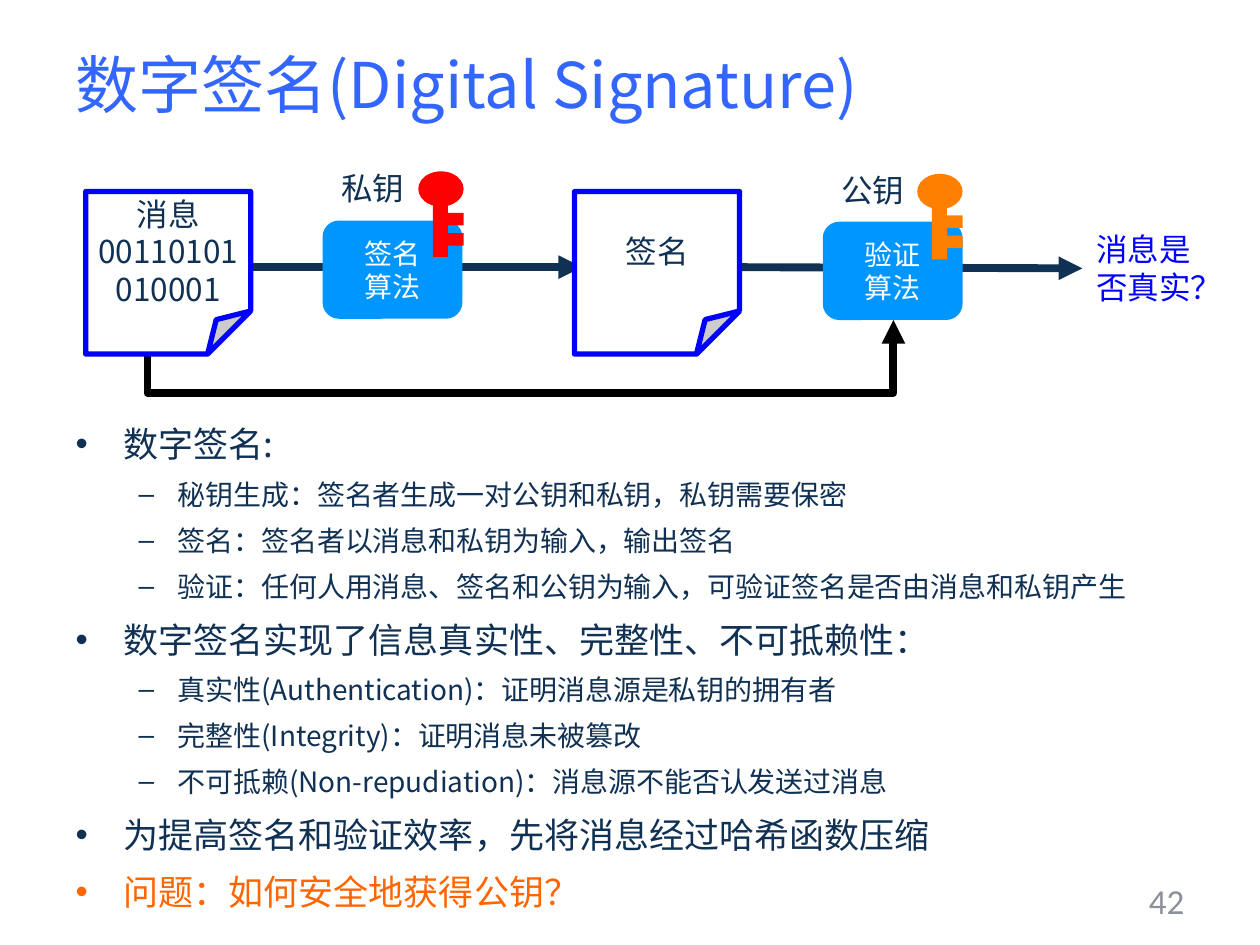
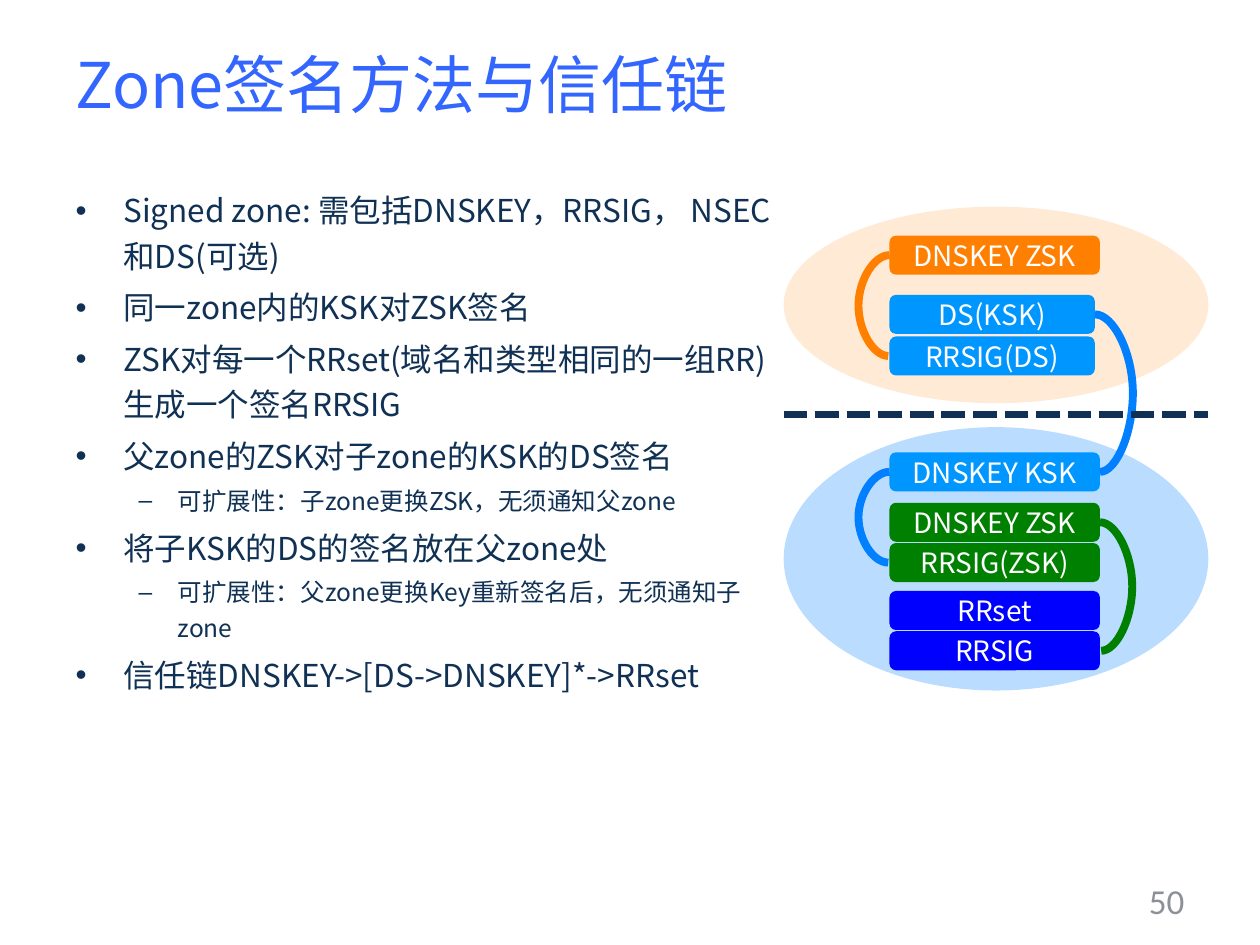
from dataclasses import dataclass
from typing import Any, NamedTuple

from lxml.etree import SubElement
from pptx import Presentation
from pptx.dml.color import RGBColor
from pptx.enum.dml import MSO_LINE
from pptx.enum.shapes import MSO_CONNECTOR, MSO_SHAPE
from pptx.enum.text import MSO_ANCHOR, MSO_AUTO_SIZE, PP_ALIGN
from pptx.oxml.ns import qn
from pptx.util import Inches, Pt

WIDTH, HEIGHT = Inches(10), Inches(7.5)
COLUMNS = 40
CELL = WIDTH / COLUMNS

NAVY = RGBColor(0x10, 0x31, 0x54)
TITLE_BLUE = RGBColor(0x33, 0x66, 0xFF)
SKY = RGBColor(0x00, 0x96, 0xFF)
AZURE = RGBColor(0x00, 0x80, 0xFF)
BLUE = RGBColor(0x00, 0x00, 0xFF)
GREEN = RGBColor(0x00, 0x80, 0x00)
RED = RGBColor(0xFF, 0x00, 0x00)
ORANGE = RGBColor(0xFF, 0x7F, 0x01)
PEACH = RGBColor(0xFF, 0xB2, 0x67)
QUESTION = RGBColor(0xFF, 0x66, 0x00)
GREY = RGBColor(0x8C, 0x90, 0x99)
WHITE = RGBColor(0xFF, 0xFF, 0xFF)
BLACK = RGBColor(0x00, 0x00, 0x00)

CJK = "Noto Sans CJK SC"
STROKE = Pt(4.5)
MIDDLE = {"word_wrap": True, "auto_size": MSO_AUTO_SIZE.NONE, "vertical_anchor": MSO_ANCHOR.MIDDLE}


class Area(NamedTuple):
    x: float
    y: float
    w: float
    h: float


class Point(NamedTuple):
    x: float
    y: float


class Bullet(NamedTuple):
    mark: str
    margin: float
    indent: float


@dataclass(frozen=True)
class Style:
    size: float
    color: RGBColor
    font: str = CJK
    align: PP_ALIGN = PP_ALIGN.LEFT


@dataclass(frozen=True)
class Item:
    text: str
    level: int = 0
    color: RGBColor = NAVY


@dataclass(frozen=True)
class Record:
    text: str
    y: float
    w: float
    color: RGBColor

    @property
    def area(self) -> Area:
        return Area(28.24, self.y, self.w, 1.24)

    def side(self, right: bool) -> Point:
        a = self.area
        return Point(a.x + a.w * right, a.y + a.h / 2)


@dataclass(frozen=True)
class Arc:
    start: str
    end: str
    right: bool
    peak: float
    color: RGBColor


BULLETS = (Bullet("•", 0.38, -0.38), Bullet("–", 0.81, -0.31))
TITLE_AREA = Area(2, 0.16, 36, 5)
NUMBER_AREA = Area(28.68, 27.8, 9.32, 1.6)
TITLE = Style(36, TITLE_BLUE)
NUMBER = Style(20, GREY, "Calibri", PP_ALIGN.RIGHT)
KEY_LABEL = Style(18, NAVY)
NOTE = Style(18, NAVY, align=PP_ALIGN.CENTER)
RESULT = Style(18, BLUE, align=PP_ALIGN.CENTER)
BOX = Style(16, WHITE, align=PP_ALIGN.CENTER)

SIGNATURE_ITEMS = (
    Item("数字签名:"),
    Item("秘钥生成：签名者生成一对公钥和私钥，私钥需要保密", 1),
    Item("签名：签名者以消息和私钥为输入，输出签名", 1),
    Item("验证：任何人用消息、签名和公钥为输入，可验证签名是否由消息和私钥产生", 1),
    Item("数字签名实现了信息真实性、完整性、不可抵赖性："),
    Item("真实性(Authentication)：证明消息源是私钥的拥有者", 1),
    Item("完整性(Integrity)：证明消息未被篡改", 1),
    Item("不可抵赖(Non-repudiation)：消息源不能否认发送过消息", 1),
    Item("为提高签名和验证效率，先将消息经过哈希函数压缩"),
    Item("问题：如何安全地获得公钥？", color=QUESTION),
)
ZONE_ITEMS = (
    Item("Signed zone: 需包括DNSKEY，RRSIG， NSEC和DS(可选)"),
    Item("同一zone内的KSK对ZSK签名"),
    Item("ZSK对每一个RRset(域名和类型相同的一组RR)生成一个签名RRSIG"),
    Item("父zone的ZSK对子zone的KSK的DS签名"),
    Item("可扩展性：子zone更换ZSK，无须通知父zone", 1),
    Item("将子KSK的DS的签名放在父zone处"),
    Item("可扩展性：父zone更换Key重新签名后，无须通知子zone", 1),
    Item("信任链DNSKEY->[DS->DNSKEY]*->RRset"),
)
KEY_PARTS = (
    (MSO_SHAPE.OVAL, Area(0, 0, 1.44, 1.12)),
    (MSO_SHAPE.RECTANGLE, Area(0.46, 0.84, 0.48, 1.88)),
    (MSO_SHAPE.RECTANGLE, Area(0.72, 1.96, 0.72, 0.4)),
    (MSO_SHAPE.RECTANGLE, Area(0.72, 1.32, 0.72, 0.4)),
)
RECORDS = {
    "parent_zsk": Record("DNSKEY ZSK", 7.48, 6.68, ORANGE),
    "ds": Record("DS(KSK)", 9.36, 6.52, SKY),
    "ds_sig": Record("RRSIG(DS)", 10.68, 6.52, SKY),
    "ksk": Record("DNSKEY KSK", 14.36, 6.68, SKY),
    "zsk": Record("DNSKEY ZSK", 15.96, 6.68, GREEN),
    "zsk_sig": Record("RRSIG(ZSK)", 17.24, 6.68, GREEN),
    "rrset": Record("RRset", 18.76, 6.68, BLUE),
    "rrset_sig": Record("RRSIG", 20.04, 6.68, BLUE),
}
ARCS = (
    Arc("parent_zsk", "ds_sig", False, 27.24, ORANGE),
    Arc("ksk", "zsk_sig", False, 27.24, AZURE),
    Arc("ds", "ksk", True, 35.96, AZURE),
    Arc("zsk", "rrset_sig", True, 35.96, GREEN),
)


def cells(*values: float) -> list[int]:
    return [round(v * CELL) for v in values]


def apply(obj: Any, **values: Any) -> None:
    for name, value in values.items():
        setattr(obj, name, value)


def place(s: Any, area: Area) -> None:
    apply(s, **dict(zip(("left", "top", "width", "height"), cells(*area))))


def add_run(p: Any, text: str, style: Style) -> None:
    r = p.add_run()
    r.text = text
    apply(r.font, size=Pt(style.size), name=style.font, bold=False)
    r.font.color.rgb = style.color
    SubElement(r.font._element, qn("a:ea")).set("typeface", style.font)


def write(tf: Any, text: str, style: Style, **frame: Any) -> None:
    apply(tf, **{**MIDDLE, **frame})
    for i, line in enumerate(text.split("\n")):
        p = tf.add_paragraph() if i else tf.paragraphs[0]
        p.alignment = style.align
        add_run(p, line, style)


def add_bullet(p: Any, bullet: Bullet) -> None:
    pPr = p._p.get_or_add_pPr()
    pPr.set("marL", str(Inches(bullet.margin)))
    pPr.set("indent", str(Inches(bullet.indent)))
    SubElement(pPr, qn("a:buFont")).set("typeface", "Arial")
    SubElement(pPr, qn("a:buChar")).set("char", bullet.mark)


def add_page(prs: Any, title: str, number: int, area: Area,
             items: tuple[Item, ...], sizes: tuple[int, int]) -> Any:
    page = prs.slides.add_slide(prs.slide_layouts[1])
    place(page.shapes.title, TITLE_AREA)
    write(page.shapes.title.text_frame, title, TITLE)
    body = page.placeholders[1]
    place(body, area)
    tf = body.text_frame
    apply(tf, word_wrap=True, auto_size=MSO_AUTO_SIZE.NONE, vertical_anchor=MSO_ANCHOR.TOP)
    for i, item in enumerate(items):
        p = tf.add_paragraph() if i else tf.paragraphs[0]
        size = sizes[item.level]
        apply(p, level=item.level, line_spacing=1.2, space_before=Pt(0.2 * size if i else 0))
        add_bullet(p, BULLETS[item.level])
        add_run(p, item.text, Style(size, item.color))
    add_label(page, NUMBER_AREA, str(number), NUMBER)
    return page


def add_label(page: Any, area: Area, text: str, style: Style, **frame: Any) -> None:
    write(page.shapes.add_textbox(*cells(*area)).text_frame, text, style, **frame)


def add_figure(shapes: Any, kind: MSO_SHAPE, area: Area, fill: RGBColor | None,
               text: str = "", style: Style = BOX) -> Any:
    s = shapes.add_shape(kind, *cells(*area))
    s.shadow.inherit = False
    s.line.fill.background()
    if fill is None:
        s.fill.background()
    else:
        s.fill.solid()
        s.fill.fore_color.rgb = fill
    if text:
        write(s.text_frame, text, style)
    return s


def set_guide(s: Any, name: str, share: float) -> None:
    guides = s._element.spPr.find(qn("a:prstGeom")).get_or_add_avLst()
    for old in list(guides):
        guides.remove(old)
    guide = SubElement(guides, qn("a:gd"))
    guide.set("name", name)
    guide.set("fmla", f"val {round(share * 100000)}")


def add_note(page: Any, area: Area, text: str) -> None:
    s = add_figure(page.shapes, MSO_SHAPE.FOLDED_CORNER, area, WHITE, text, NOTE)
    set_guide(s, "adj", 0.265)
    s.line.color.rgb = BLUE
    s.line.width = Pt(3)


def add_key(page: Any, corner: Point, color: RGBColor) -> None:
    group = page.shapes.add_group_shape()
    for kind, part in KEY_PARTS:
        add_figure(group.shapes, kind, part._replace(x=corner.x + part.x, y=corner.y + part.y), color)


def add_line(page: Any, start: Point, end: Point, color: RGBColor,
             kind: MSO_CONNECTOR = MSO_CONNECTOR.STRAIGHT, arrow: bool = False) -> Any:
    s = page.shapes.add_connector(kind, *cells(*start, *end))
    s.line.color.rgb = color
    s.line.width = STROKE
    if arrow:
        SubElement(s.line._get_or_add_ln(), qn("a:tailEnd")).set("type", "triangle")
    SubElement(s._element.spPr, qn("a:effectLst"))
    return s


def add_detour(page: Any, start: Point, end: Point, bottom: float) -> None:
    s = add_line(page, start, end, BLACK, MSO_CONNECTOR.ELBOW, True)
    w, h = end.y - start.y, end.x - start.x
    place(s, Area((start.x + end.x - w) / 2, (start.y + end.y - h) / 2, w, h))
    xfrm = s._element.spPr.find(qn("a:xfrm"))
    xfrm.set("rot", str(270 * 60000))
    xfrm.set("flipH", "1")
    set_guide(s, "adj1", (bottom - start.y) / w)


def add_arc(page: Any, arc: Arc) -> None:
    start = RECORDS[arc.start].side(arc.right)
    end = RECORDS[arc.end].side(arc.right)
    if abs(end.x - start.x) < 0.04:
        end = end._replace(x=start.x + (0.04 if arc.right else -0.04))
    s = add_line(page, start, end, arc.color, MSO_CONNECTOR.CURVE)
    set_guide(s, "adj1", (arc.peak - start.x) / (end.x - start.x))


def build_signature(prs: Any) -> None:
    page = add_page(prs, "数字签名(Digital Signature)", 42, Area(2, 12.96, 36, 14.16),
                    SIGNATURE_ITEMS, (20, 16))
    stages = (
        ("私钥", Point(10.44, 5.16), "签名\n算法", Point(10.24, 7), Point(13.28, 5.44), RED,
         Point(6.76, 8.48), Point(18.48, 8.48)),
        ("公钥", Point(26.32, 5.24), "验证\n算法", Point(26.12, 7.04), Point(29.12, 5.52), ORANGE,
         Point(22.68, 8.48), Point(34.36, 8.52)),
    )
    for label, label_at, step, step_at, key_at, color, start, end in stages:
        add_label(page, Area(*label_at, 2.84, 1.6), label, KEY_LABEL, word_wrap=False,
                  auto_size=MSO_AUTO_SIZE.SHAPE_TO_FIT_TEXT, vertical_anchor=MSO_ANCHOR.TOP)
        add_line(page, start, end, NAVY, arrow=True)
        add_figure(page.shapes, MSO_SHAPE.ROUNDED_RECTANGLE, Area(*step_at, 4.44, 3.12), SKY, step)
        add_key(page, key_at, color)
    add_detour(page, Point(4.68, 9.76), Point(28.36, 10.16), 12.48)
    add_figure(page.shapes, MSO_SHAPE.ROUNDED_RECTANGLE, Area(33.68, 5.32, 5.24, 6.36), None,
               "消息是否真实？", RESULT)
    for x, text in ((18.24, "签名"), (2.72, "消息\n00110101010001")):
        add_note(page, Area(x, 6.08, 5.24, 5.16), text)


def build_zone(prs: Any) -> None:
    page = add_page(prs, "Zone签名方法与信任链", 50, Area(2, 5.64, 22.88, 23.16), ZONE_ITEMS, (18, 14))
    for y, h, color in ((6.56, 6.24, PEACH), (13.56, 8.36, AZURE)):
        s = add_figure(page.shapes, MSO_SHAPE.OVAL, Area(24.88, y, 13.48, h), color)
        tint = s._element.spPr.find(qn("a:solidFill"))[0]
        SubElement(tint, qn("a:alpha")).set("val", "27000")
    for record in RECORDS.values():
        add_figure(page.shapes, MSO_SHAPE.ROUNDED_RECTANGLE, record.area, record.color, record.text)
    for arc in ARCS:
        add_arc(page, arc)
    border = add_line(page, Point(24.88, 13.16), Point(38.36, 13.16), NAVY)
    border.line.dash_style = MSO_LINE.SQUARE_DOT


def main() -> None:
    prs = Presentation()
    apply(prs, slide_width=WIDTH, slide_height=HEIGHT)
    build_signature(prs)
    build_zone(prs)
    prs.save("out.pptx")


if __name__ == "__main__":
    main()
